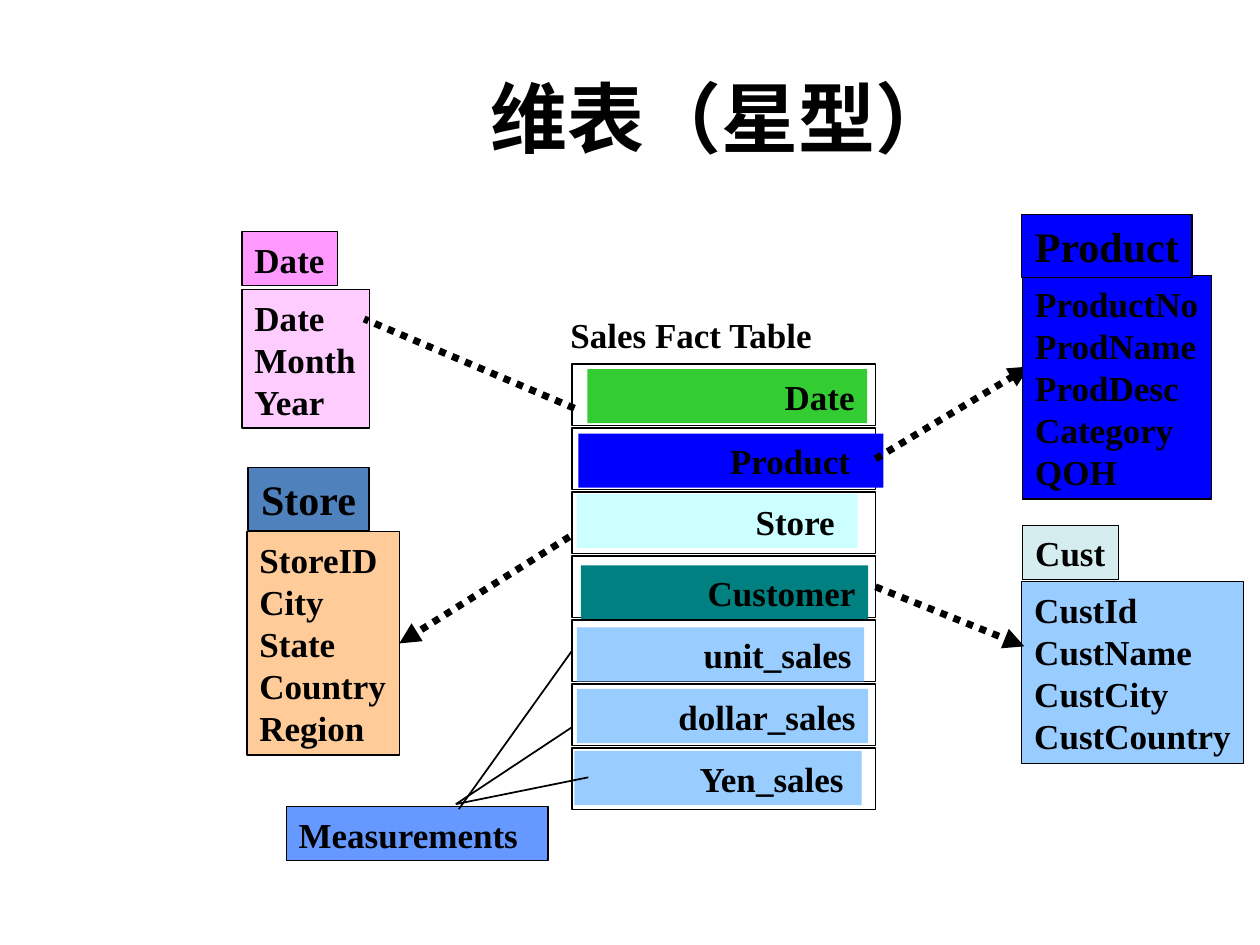
from lxml import etree
from pptx import Presentation
from pptx import util as u
from pptx.dml.color import RGBColor
from pptx.enum import dml, shapes, text
from pptx.oxml import ns

BLACK = RGBColor(0x00, 0x00, 0x00)
PINK = RGBColor(0xFF, 0x99, 0xFF)
PALE_PINK = RGBColor(0xFF, 0xCC, 0xFF)
GREEN = RGBColor(0x33, 0xCC, 0x33)
BLUE = RGBColor(0x00, 0x00, 0xFF)
PALE_CYAN = RGBColor(0xCC, 0xFF, 0xFF)
TEAL = RGBColor(0x00, 0x80, 0x80)
SKY = RGBColor(0x99, 0xCC, 0xFF)
MIST = RGBColor(0xD5, 0xED, 0xEF)
CORNFLOWER = RGBColor(0x66, 0x99, 0xFF)
STEEL = RGBColor(0x4F, 0x81, 0xBD)
PEACH = RGBColor(0xFF, 0xCC, 0x99)

LEFT, CENTER, RIGHT = text.PP_ALIGN.LEFT, text.PP_ALIGN.CENTER, text.PP_ALIGN.RIGHT
LEFT_SIDE, RIGHT_SIDE = 1, 3

ROW_LEFT, ROW_TOP, ROW_WIDTH, ROW_HEIGHT, ROW_PITCH = 11.53, 7.34, 6.12, 1.24, 1.29
LABEL_HEIGHT = 1.09

FACT_ROWS = [
    ("Date", GREEN, 11.84, 7.44, 5.64, 0.25),
    ("Product", BLUE, 11.66, 8.74, 6.15, 0.67),
    ("Store", PALE_CYAN, 11.63, 9.96, 5.66, 0.46),
    ("Customer", TEAL, 11.71, 11.4, 5.79, 0.25),
    ("unit_sales", SKY, 11.63, 12.65, 5.79, 0.25),
    ("dollar_sales", SKY, 11.63, 13.89, 5.87, 0.25),
    ("Yen_sales", SKY, 11.58, 15.14, 5.79, 0.36),
]


class StarSchemaSlide:
    font_name = "Times New Roman"
    title_font = "Calibri"
    text_size = 20
    heading_size = 24
    inset = 0.25

    def __init__(self, presentation):
        self.slide = presentation.slides.add_slide(presentation.slide_layouts[5])

    def title(self, content, left, top, width, height):
        shape = self.slide.shapes.title
        shape.left, shape.top = u.Cm(left), u.Cm(top)
        shape.width, shape.height = u.Cm(width), u.Cm(height)
        frame = shape.text_frame
        frame.text = content
        frame.vertical_anchor = text.MSO_ANCHOR.MIDDLE
        paragraph = frame.paragraphs[0]
        paragraph.alignment = CENTER
        self.style(paragraph, 44, self.title_font)

    def style(self, paragraph, size, name):
        for run in paragraph.runs:
            run.font.size = u.Pt(size)
            run.font.name = name
            run.font.bold = True
            run.font.color.rgb = BLACK

    def fill_text(self, shape, content, size, alignment, wrap, right_inset):
        frame = shape.text_frame
        frame.text = content
        frame.word_wrap = wrap
        frame.vertical_anchor = text.MSO_ANCHOR.TOP
        frame.margin_left, frame.margin_right = u.Cm(self.inset), u.Cm(right_inset)
        frame.margin_top = frame.margin_bottom = u.Cm(0.13)
        for paragraph in frame.paragraphs:
            paragraph.alignment = alignment
            paragraph.line_spacing = u.Pt(size * 1.2)
            self.style(paragraph, size, self.font_name)

    def box(self, left, top, width, height, fill=None, line=None, content="",
            size=text_size, alignment=LEFT, wrap=False, right_inset=inset):
        shape = self.slide.shapes.add_shape(
            shapes.MSO_SHAPE.RECTANGLE, u.Cm(left), u.Cm(top), u.Cm(width), u.Cm(height))
        shape.shadow.inherit = False
        if fill is None:
            shape.fill.background()
        else:
            shape.fill.solid()
            shape.fill.fore_color.rgb = fill
        if line is None:
            shape.line.fill.background()
        else:
            shape.line.color.rgb = BLACK
            shape.line.width = u.Pt(line)
        if content:
            self.fill_text(shape, content, size, alignment, wrap, right_inset)
        return shape

    def card(self, left, top, width, height, fill, *fields, **options):
        return self.box(left, top, width, height, fill, 0.75, "\n".join(fields), **options)

    def caption(self, content, left, top, width, height):
        shape = self.slide.shapes.add_textbox(u.Cm(left), u.Cm(top), u.Cm(width), u.Cm(height))
        self.fill_text(shape, content, self.text_size, LEFT, True, self.inset)

    def line(self, start, end, begin_at=None, end_at=None, dotted=False, arrow=False):
        connector = self.slide.shapes.add_connector(
            shapes.MSO_CONNECTOR.STRAIGHT, *(u.Cm(value) for value in start + end))
        if begin_at:
            connector.begin_connect(*begin_at)
        if end_at:
            connector.end_connect(*end_at)
        connector.line.color.rgb = BLACK
        connector.line.width = u.Pt(4 if dotted else 1)
        if dotted:
            connector.line.dash_style = dml.MSO_LINE.ROUND_DOT
        properties = connector.element.spPr
        if arrow:
            outline = properties.find(ns.qn("a:ln"))
            etree.SubElement(outline, ns.qn("a:tailEnd"), type="triangle")
        etree.SubElement(properties, ns.qn("a:effectLst"))


def main():
    presentation = Presentation()
    presentation.slide_width, presentation.slide_height = u.Cm(25.4), u.Cm(19.05)
    schema = StarSchemaSlide(presentation)
    schema.title("维表（星型）", 4.95, 0.76, 19.18, 3.18)

    schema.card(4.88, 5.84, 2.57, 2.79, PALE_PINK, "Date", "Month", "Year")
    schema.card(4.88, 4.67, 1.93, 1.09, PINK, "Date")
    schema.card(20.6, 11.73, 4.47, 3.66, SKY, "CustId", "CustName", "CustCity", "CustCountry")
    schema.card(20.62, 10.59, 1.93, 1.09, MIST, "Cust")

    schema.caption("Sales Fact Table", 11.25, 6.2, 5.46, 1.09)
    rows = {}
    for index, (name, fill, left, top, width, right_inset) in enumerate(FACT_ROWS):
        rows[name] = schema.box(
            ROW_LEFT, ROW_TOP + index * ROW_PITCH, ROW_WIDTH, ROW_HEIGHT, line=1)
        schema.box(left, top, width, LABEL_HEIGHT, fill, content=name,
                   alignment=RIGHT, wrap=True, right_inset=right_inset)

    schema.card(5.77, 16.26, 5.28, 1.09, CORNFLOWER, "Measurements", wrap=True)
    schema.line((11.53, 13.13), (9.25, 16.31), begin_at=(rows["unit_sales"], LEFT_SIDE))
    schema.line((9.19, 16.21), (11.53, 14.66))
    schema.line((9.19, 16.21), (11.86, 15.67))

    store = schema.card(4.98, 10.72, 3.07, 4.5, PEACH,
                        "StoreID", "City", "State", "Country", "Region")
    schema.line((11.48, 10.82), (8.05, 12.97), end_at=(store, RIGHT_SIDE),
                dotted=True, arrow=True)
    schema.line((11.58, 8.23), (7.34, 6.43), dotted=True)
    schema.line((17.65, 11.83), (20.65, 13.03), begin_at=(rows["Customer"], RIGHT_SIDE),
                dotted=True, arrow=True)
    schema.line((17.65, 9.25), (20.75, 7.39), begin_at=(rows["Product"], RIGHT_SIDE),
                dotted=True, arrow=True)

    schema.card(20.62, 5.56, 3.81, 4.5, BLUE,
                "ProductNo", "ProdName", "ProdDesc", "Category", "QOH")
    heading = {"size": schema.heading_size, "alignment": CENTER}
    schema.card(20.6, 4.32, 3.43, 1.27, BLUE, "Product", **heading)
    schema.card(5, 9.42, 2.44, 1.27, STEEL, "Store", **heading)

    presentation.save("out.pptx")


if __name__ == "__main__":
    main()
